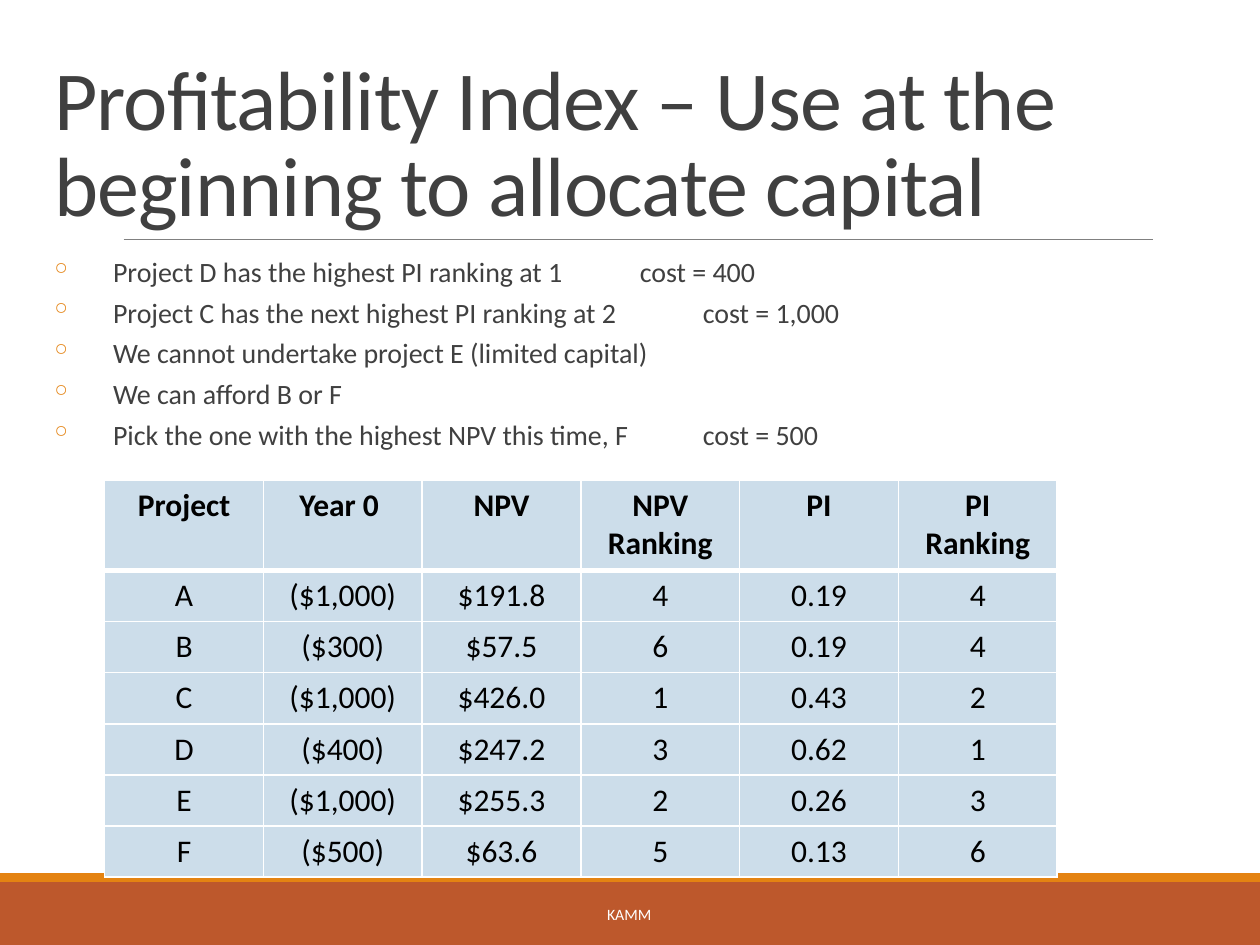
import dataclasses

import lxml.etree
import pptx
import pptx.dml.color
import pptx.enum.shapes
import pptx.enum.text
import pptx.oxml.ns
import pptx.util

Cm = pptx.util.Cm
Pt = pptx.util.Pt
ALIGN = pptx.enum.text.PP_ALIGN
ANCHOR = pptx.enum.text.MSO_ANCHOR
qn = pptx.oxml.ns.qn


@dataclasses.dataclass(frozen=True)
class Theme:
    font: str = "Calibri"
    ink: str = "404040"
    black: str = "000000"
    white: str = "FFFFFF"
    rust: str = "BD582C"
    orange: str = "E48312"
    rule: str = "808080"
    cell: str = "CCDDEA"
    title_size: int = 48
    body_size: int = 16
    table_size: int = 18
    footer_size: int = 9


def rgb(value):
    return pptx.dml.color.RGBColor.from_string(value)


class SlideBuilder:
    """Holds the theme and the current slide, and draws each kind of element."""

    def __init__(self, page, theme):
        self.page = page
        self.theme = theme

    def style(self, para, size, color, bold=False, align=None):
        font = para.font
        font.name, font.size, font.bold = self.theme.font, Pt(size), bold
        font.color.rgb = rgb(color)
        para.alignment = align

    def title(self, text, left, top, width, height):
        box = self.page.shapes.title
        box.left, box.top, box.width, box.height = map(Cm, (left, top, width, height))
        frame = box.text_frame
        frame.text = text
        frame.auto_size = pptx.enum.text.MSO_AUTO_SIZE.NONE
        frame.vertical_anchor = ANCHOR.BOTTOM
        para = frame.paragraphs[0]
        self.style(para, self.theme.title_size, self.theme.ink, align=ALIGN.LEFT)
        para.line_spacing = 0.85
        for span in para.runs:
            span.font.size = Pt(self.theme.title_size)
            span.font._element.set("spc", "-50") if hasattr(span.font, "_element") else \
                span._r.get_or_add_rPr().set("spc", "-50")

    def bar(self, color, left, top, width, height):
        box = self.page.shapes.add_shape(
            pptx.enum.shapes.MSO_SHAPE.RECTANGLE, *map(Cm, (left, top, width, height)))
        box.shadow.inherit = False
        box.fill.solid()
        box.fill.fore_color.rgb = rgb(color)
        box.line.fill.background()

    def line(self, left, top, right):
        rule = self.page.shapes.add_connector(
            pptx.enum.shapes.MSO_CONNECTOR.STRAIGHT, *map(Cm, (left, top, right, top)))
        rule.line.color.rgb = rgb(self.theme.rule)
        rule.line.width = Pt(0.5)
        lxml.etree.SubElement(rule._element.spPr, qn("a:effectLst"))

    def text_box(self, left, top, width, height):
        box = self.page.shapes.add_textbox(*map(Cm, (left, top, width, height)))
        box.text_frame.word_wrap = True
        return box.text_frame

    def footer(self, text, *place):
        frame = self.text_box(*place)
        frame.text = text
        frame.vertical_anchor = ANCHOR.MIDDLE
        self.style(frame.paragraphs[0], self.theme.footer_size, self.theme.white,
                   align=ALIGN.CENTER)

    def bullets(self, lines, *place):
        frame = self.text_box(*place)
        frame.margin_left = frame.margin_right = 0
        frame.text = "\n".join(lines)
        for para in frame.paragraphs:
            self.style(para, self.theme.body_size, self.theme.ink)
            para.level = 1
            para.line_spacing = 0.9
            para.space_before, para.space_after = Pt(2), Pt(4)
            props = para._p.get_or_add_pPr()
            props.set("marL", str(Cm(2.08)))
            props.set("indent", str(-Cm(1.27)))
            color = lxml.etree.Element(qn("a:buClr"))
            lxml.etree.SubElement(color, qn("a:srgbClr"), val=self.theme.orange)
            mark = lxml.etree.Element(qn("a:buChar"), char="◦")
            default = props.find(qn("a:defRPr"))
            default.addprevious(color)
            default.addprevious(mark)

    def borders(self, cell, top, bottom):
        props = cell._tc.get_or_add_tcPr()
        for side, width in (("L", 1), ("R", 1), ("T", top), ("B", bottom)):
            edge = lxml.etree.SubElement(props, qn(f"a:ln{side}"), w=str(Pt(width)))
            fill = lxml.etree.SubElement(edge, qn("a:solidFill"))
            lxml.etree.SubElement(fill, qn("a:srgbClr"), val=self.theme.white)

    def table(self, rows, left, top, column_width, header_height, row_height):
        columns = len(rows[0])
        height = header_height + row_height * (len(rows) - 1)
        grid = self.page.shapes.add_table(
            len(rows), columns, Cm(left), Cm(top),
            Cm(column_width * columns), Cm(height)).table
        for column in grid.columns:
            column.width = Cm(column_width)
        for index, values in enumerate(rows):
            header = index == 0
            grid.rows[index].height = Cm(header_height if header else row_height)
            for cell, value in zip(grid.rows[index].cells, values):
                cell.text = value
                self.style(cell.text_frame.paragraphs[0], self.theme.table_size,
                           self.theme.black, header, ALIGN.CENTER)
                self.borders(cell, 3 if index == 1 else 1, 3 if header else 1)
                cell.fill.solid()
                cell.fill.fore_color.rgb = rgb(self.theme.cell)


BULLETS = (
    "Project D has the highest PI ranking at 1\t\tcost = 400",
    "Project C has the next highest PI ranking at 2\t\tcost = 1,000",
    "We cannot undertake project E (limited capital)",
    "We can afford B or F",
    "Pick the one with the highest NPV this time, F\t\tcost = 500",
)

PROJECTS = (
    ("Project", "Year 0 ", "NPV", "NPV Ranking", "PI", "PI Ranking"),
    ("A", "($1,000)", "$191.8", "4", "0.19", "4"),
    ("B", "($300)", "$57.5", "6", "0.19", "4"),
    ("C", "($1,000)", "$426.0", "1", "0.43", "2"),
    ("D", "($400)", "$247.2", "3", "0.62", "1"),
    ("E", "($1,000)", "$255.3", "2", "0.26", "3"),
    ("F", "($500)", "$63.6", "5", "0.13", "6"),
)


def main():
    deck = pptx.Presentation()
    deck.slide_width, deck.slide_height = Cm(25.4), Cm(19.05)
    theme = Theme()
    slide = SlideBuilder(deck.slides.add_slide(deck.slide_layouts[5]), theme)
    slide.bar(theme.rust, 0, 17.78, 25.4, 1.27)
    slide.bar(theme.orange, 0, 17.6, 25.4, 0.18)
    slide.line(2.49, 4.83, 23.24)
    slide.title("Profitability Index – Use at the beginning to allocate capital",
                0.84, 0.79, 23.75, 4.04)
    slide.footer("KAMM", 7.67, 17.93, 10.03, 1.02)
    slide.bullets(BULLETS, 0.2, 5.08, 24.97, 12.5)
    slide.table(PROJECTS, 2.11, 9.68, 3.2, 1.82, 1.03)
    deck.save("out.pptx")


if __name__ == "__main__":
    main()
